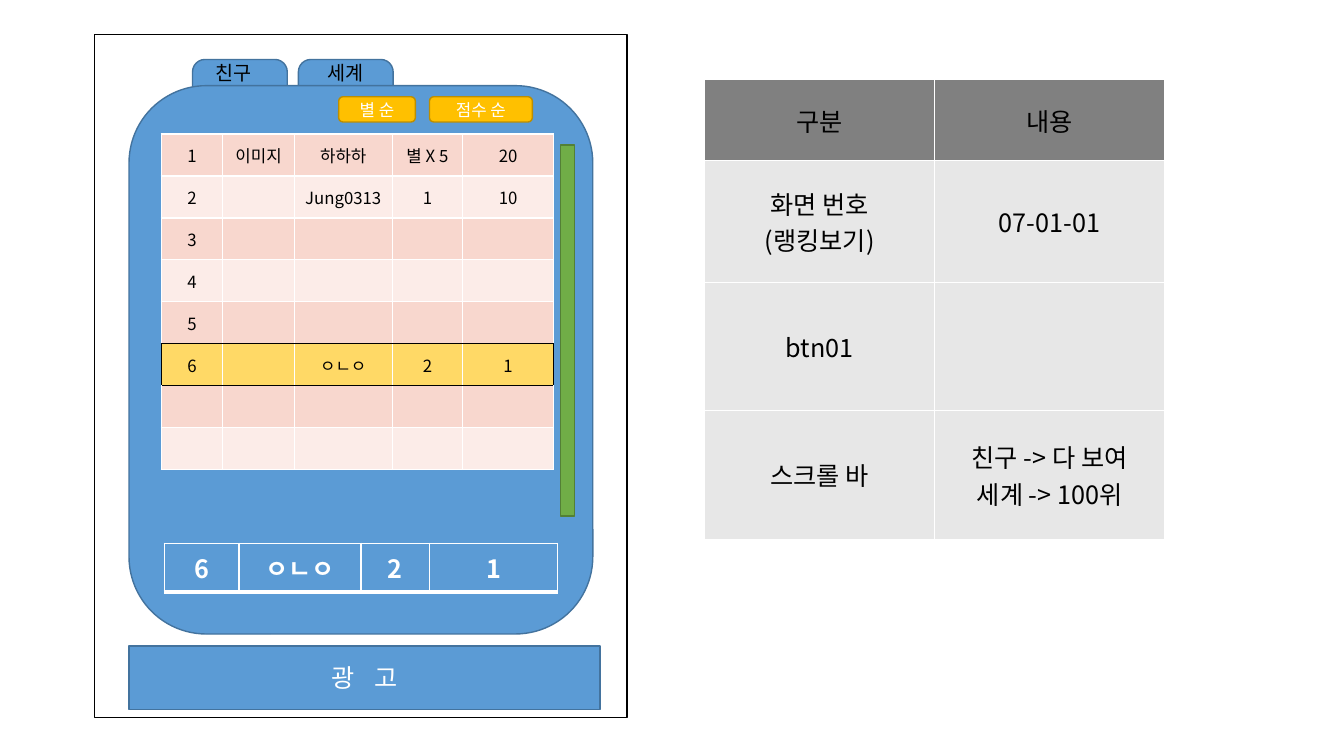
from dataclasses import dataclass

from lxml import etree
from pptx import Presentation
from pptx import util as u
from pptx.dml.color import RGBColor
from pptx.enum import shapes, text
from pptx.oxml import ns

Inches = u.Inches
ROUND = shapes.MSO_SHAPE.ROUNDED_RECTANGLE
RECT = shapes.MSO_SHAPE.RECTANGLE


@dataclass(frozen=True)
class Theme:
    font: str = "Noto Sans CJK KR"
    small: int = 12
    label: int = 14
    large: int = 18
    white: str = "FFFFFF"
    black: str = "000000"
    blue: str = "5B9BD5"
    navy: str = "43739E"
    gold: str = "FFC000"
    brown: str = "BD8E00"
    green: str = "70AD47"
    moss: str = "538035"
    pink: str = "F8D7CE"
    pale: str = "FCECE8"
    mine: str = "FFD966"
    head: str = "808080"
    body: str = "E7E7E7"


T = Theme()


# Text: "\n" starts a paragraph, "\v" breaks a line
def write(frame, words, size, color, bold=False, align=text.PP_ALIGN.CENTER, gap=0):
    for i, line in enumerate(words.split("\n")):
        para = frame.add_paragraph() if i else frame.paragraphs[0]
        para.alignment = align
        for j, part in enumerate(line.split("\v")):
            if j:
                para.add_line_break()
            run = para.add_run()
            run.text = part
            font = run.font
            font.size, font.bold, font.name = u.Pt(size), bold, T.font
            font.color.rgb = RGBColor.from_string(color)
            props = run._r.get_or_add_rPr()
            etree.SubElement(props, ns.qn("a:ea"), typeface=T.font)
            if gap:
                props.set("spc", str(gap * 100))


def block(slide, kind, box, fill, edge, words="", size=T.small, gap=0):
    shape = slide.shapes.add_shape(kind, *map(Inches, box))
    shape.shadow.inherit = False
    shape.fill.solid()
    shape.fill.fore_color.rgb = RGBColor.from_string(fill)
    shape.line.color.rgb = RGBColor.from_string(edge)
    shape.line.width = u.Pt(1)
    if words:
        shape.text_frame.vertical_anchor = text.MSO_ANCHOR.MIDDLE
        write(shape.text_frame, words, size, T.white, gap=gap)


def label(slide, box, words):
    frame = slide.shapes.add_textbox(*map(Inches, box)).text_frame
    frame.word_wrap = False
    frame.auto_size = text.MSO_AUTO_SIZE.SHAPE_TO_FIT_TEXT
    write(frame, words, T.label, T.black, align=text.PP_ALIGN.LEFT)


# Cell edges come before the fill in the cell properties
def border(cell, edges):
    props = cell._tc.get_or_add_tcPr()
    for side in "LRTB":
        color, width = edges.get(side, (T.white, 1))
        line = etree.SubElement(props, ns.qn("a:ln" + side), w=str(u.Pt(width)))
        fill = etree.SubElement(line, ns.qn("a:solidFill"))
        etree.SubElement(fill, ns.qn("a:srgbClr"), val=color)


def grid(slide, spot, cols, rows, data, fills, size, color=T.black, bold=False, edges=None):
    box = (*spot, sum(cols), sum(rows))
    table = slide.shapes.add_table(len(rows), len(cols), *map(Inches, box)).table
    table.first_row = table.horz_banding = False
    for col, wide in zip(table.columns, cols):
        col.width = Inches(wide)
    for r, high in enumerate(rows):
        table.rows[r].height = Inches(high)
        for c in range(len(cols)):
            cell = table.cell(r, c)
            cell.vertical_anchor = text.MSO_ANCHOR.MIDDLE
            border(cell, edges(r, c) if edges else {})
            cell.fill.solid()
            cell.fill.fore_color.rgb = RGBColor.from_string(fills[r])
            if data[r][c]:
                write(cell.text_frame, data[r][c], size, color, bold)
            else:
                end = cell.text_frame.paragraphs[0]._p.get_or_add_endParaRPr()
                end.set("sz", str(size * 100))


# Ranking list with the player's own row outlined
def ranks(slide, x, y):
    own = 5
    data = [
        ["1", "이미지", "하하하", "별 X 5", "20"],
        ["2", "", "Jung0313", "1", "10"],
        *[[str(n), "", "", "", ""] for n in (3, 4, 5)],
        ["6", "", "ㅇㄴㅇ", "2", "1"],
        *[[""] * 5 for _ in range(2)],
    ]
    fills = [T.pale if r % 2 else T.pink for r in range(len(data))]
    fills[own] = T.mine

    def edges(r, c):
        sides = {own - 1: "B", own: "TB", own + 1: "T"}.get(r, "")
        if r == own:
            sides += {0: "L", 4: "R"}.get(c, "")
        return {side: (T.black, 1) for side in sides}

    grid(slide, (x, y), [0.61, 0.71, 0.97, 0.7, 0.9], [3.33 / 8] * 8,
         data, fills, T.small, edges=edges)


# Game screen mock-up
def screen(slide, box):
    x, y, w, h = box
    block(slide, RECT, box, T.white, T.black)

    # Tabs and panel
    for left in (0.97, 2.02):
        block(slide, ROUND, (x + left, y + 0.25, 0.94, 0.74), T.blue, T.navy)
    block(slide, ROUND, (x + 0.34, y + 0.51, 4.6, 5.44), T.blue, T.navy)
    for left, words in ((1.1, "친구"), (2.21, "세계")):
        label(slide, (x + left, y + 0.22, 0.59, 0.34), words)

    ranks(slide, x + 0.66, y + 0.99)

    # Sort buttons
    for left, wide, words in ((2.42, 0.76, "별 순"), (3.32, 1.02, "점수 순")):
        block(slide, ROUND, (x + left, y + 0.62, wide, 0.25), T.gold, T.brown, words)

    # Own score, scroll bar and banner
    grid(slide, (x + 0.69, y + 5.05), [0.74, 1.21, 0.68, 1.27], [0.48],
         [["6", "ㅇㄴㅇ", "2", "1"]], [T.blue], T.large, T.white, True,
         lambda r, c: {"B": (T.white, 3)})
    block(slide, RECT, (x + 4.62, y + 1.1, 0.14, 3.68), T.green, T.moss)
    block(slide, RECT, (x + 0.34, y + h - 0.71, w - 0.61, 0.63),
          T.blue, T.navy, "광 고", T.large, gap=5)


# Description table
def notes(slide, box):
    x, y, w, h = box
    data = [
        ["구분", "내용"],
        ["화면 번호\v(랭킹보기)", "07-01-01"],
        ["btn01", ""],
        ["스크롤 바", "친구 -> 다 보여\n세계 -> 100위"],
    ]
    rows = [0.8, 1.21, 1.27]
    grid(slide, (x, y), [w / 2] * 2, rows + [h - sum(rows)],
         data, [T.head] + [T.body] * 3, T.large)


def main():
    deck = Presentation()
    deck.slide_width, deck.slide_height = Inches(13.33), Inches(7.5)
    slide = deck.slides.add_slide(deck.slide_layouts[6])
    screen(slide, (0.94, 0.34, 5.28, 6.78))
    notes(slide, (6.99, 0.79, 4.56, 4.56))
    deck.save("out.pptx")


if __name__ == "__main__":
    main()
